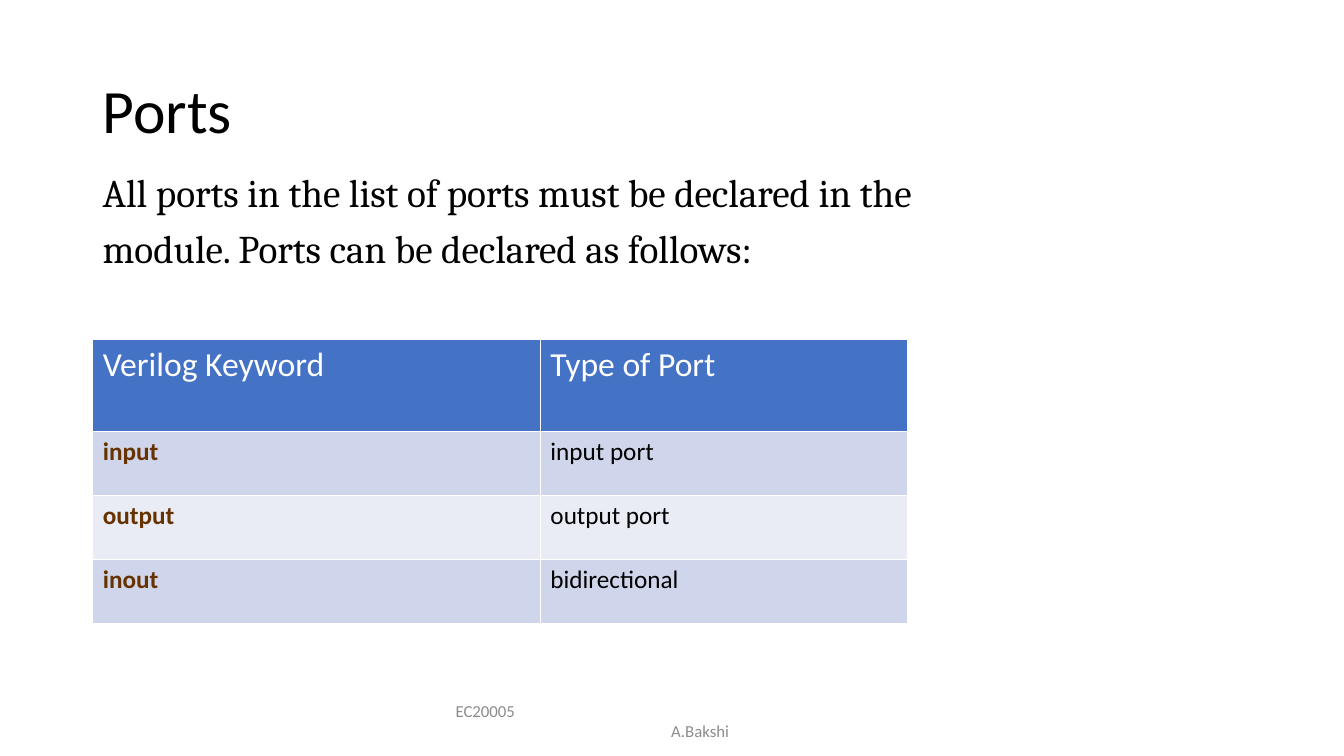
"""Build the slide that lists the Verilog port keywords."""
from dataclasses import dataclass

from lxml.etree import SubElement
from pptx import Presentation
from pptx.dml.color import RGBColor
from pptx.enum.text import MSO_ANCHOR, PP_ALIGN
from pptx.oxml.ns import qn
from pptx.util import Inches, Pt

TITLE = "Ports"
INTRO = [
    "All ports in the list of ports must be declared in the",
    "module. Ports can be declared as follows:",
]
PORTS = [
    ("Verilog Keyword", "Type of Port"),
    ("input", "input port"),
    ("output", "output port"),
    ("inout", "bidirectional"),
]
COURSE, AUTHOR = "EC20005", "A.Bakshi"
COLUMN_WIDTHS = (4.44, 3.64)
HEADER_HEIGHT, ROW_HEIGHT = 0.91, 0.635
LEFT = 0.92


@dataclass(frozen=True)
class Theme:
    sans: str = "Calibri"
    serif: str = "Cambria"
    black: str = "000000"
    white: str = "FFFFFF"
    keyword: str = "663300"
    footer: str = "8C8C8C"
    header: str = "4472C4"
    bands: tuple = ("E9EBF5", "CFD5EA")
    title_size: int = 44
    intro_size: int = 28
    header_size: int = 24
    cell_size: int = 18
    footer_size: int = 12


THEME = Theme()


def add_span(para, text, size, color, font=THEME.sans, bold=False):
    span = para.add_run()
    span.text = text
    span.font.name = font
    span.font.size = Pt(size)
    span.font.bold = bold
    span.font.color.rgb = RGBColor.from_string(color)


def add_box(page, left, top, width, height, anchor):
    box = page.shapes.add_textbox(Inches(left), Inches(top), Inches(width), Inches(height))
    box.text_frame.word_wrap = True
    box.text_frame.vertical_anchor = anchor
    return box.text_frame


def next_para(frame, index):
    return frame.add_paragraph() if index else frame.paragraphs[0]


def set_borders(cell):
    properties = cell._tc.get_or_add_tcPr()
    for position, side in enumerate(("a:lnL", "a:lnR", "a:lnT", "a:lnB")):
        line = SubElement(properties, qn(side), w=str(Pt(1)))
        properties.insert(position, line)
        fill = SubElement(line, qn("a:solidFill"))
        SubElement(fill, qn("a:srgbClr"), val=THEME.white)


def add_title(page):
    para = add_box(page, LEFT, 0.4, 11.5, 1.45, MSO_ANCHOR.MIDDLE).paragraphs[0]
    para.line_spacing = 0.9
    add_span(para, TITLE, THEME.title_size, THEME.black)


def add_intro(page):
    frame = add_box(page, LEFT, 1.67, 9.17, 1.3, MSO_ANCHOR.TOP)
    for index, text in enumerate(INTRO):
        para = next_para(frame, index)
        para.alignment = PP_ALIGN.JUSTIFY
        para.line_spacing = 0.9
        para.space_before = Pt(10 if index else 0)
        add_span(para, text, THEME.intro_size, THEME.black, THEME.serif)


def add_ports_table(page):
    heights = [HEADER_HEIGHT] + [ROW_HEIGHT] * (len(PORTS) - 1)
    table = page.shapes.add_table(
        len(PORTS), len(COLUMN_WIDTHS), Inches(LEFT), Inches(3.37),
        Inches(sum(COLUMN_WIDTHS)), Inches(sum(heights)),
    ).table
    for column, width in zip(table.columns, COLUMN_WIDTHS):
        column.width = Inches(width)
    for row_index, (texts, height) in enumerate(zip(PORTS, heights)):
        table.rows[row_index].height = Inches(height)
        for column_index, text in enumerate(texts):
            cell = table.cell(row_index, column_index)
            is_header = row_index == 0
            is_keyword = not is_header and column_index == 0
            fill = THEME.header if is_header else THEME.bands[row_index % 2]
            color = THEME.white if is_header else THEME.keyword if is_keyword else THEME.black
            size = THEME.header_size if is_header else THEME.cell_size
            cell.fill.solid()
            cell.fill.fore_color.rgb = RGBColor.from_string(fill)
            set_borders(cell)
            add_span(cell.text_frame.paragraphs[0], text, size, color, bold=is_keyword)


def add_footer(page):
    frame = add_box(page, 4.42, 6.95, 4.5, 0.4, MSO_ANCHOR.MIDDLE)
    lines = [(COURSE, PP_ALIGN.LEFT, 0), (AUTHOR, PP_ALIGN.CENTER, 0.55)]
    for index, (text, alignment, indent) in enumerate(lines):
        para = next_para(frame, index)
        para.alignment = alignment
        para._p.get_or_add_pPr().set("marL", str(Inches(indent)))
        add_span(para, text, THEME.footer_size, THEME.footer)


def main():
    deck = Presentation()
    deck.slide_width, deck.slide_height = Inches(13.33), Inches(7.5)
    page = deck.slides.add_slide(deck.slide_layouts[6])
    add_title(page)
    add_intro(page)
    add_ports_table(page)
    add_footer(page)
    deck.save("out.pptx")


if __name__ == "__main__":
    main()
